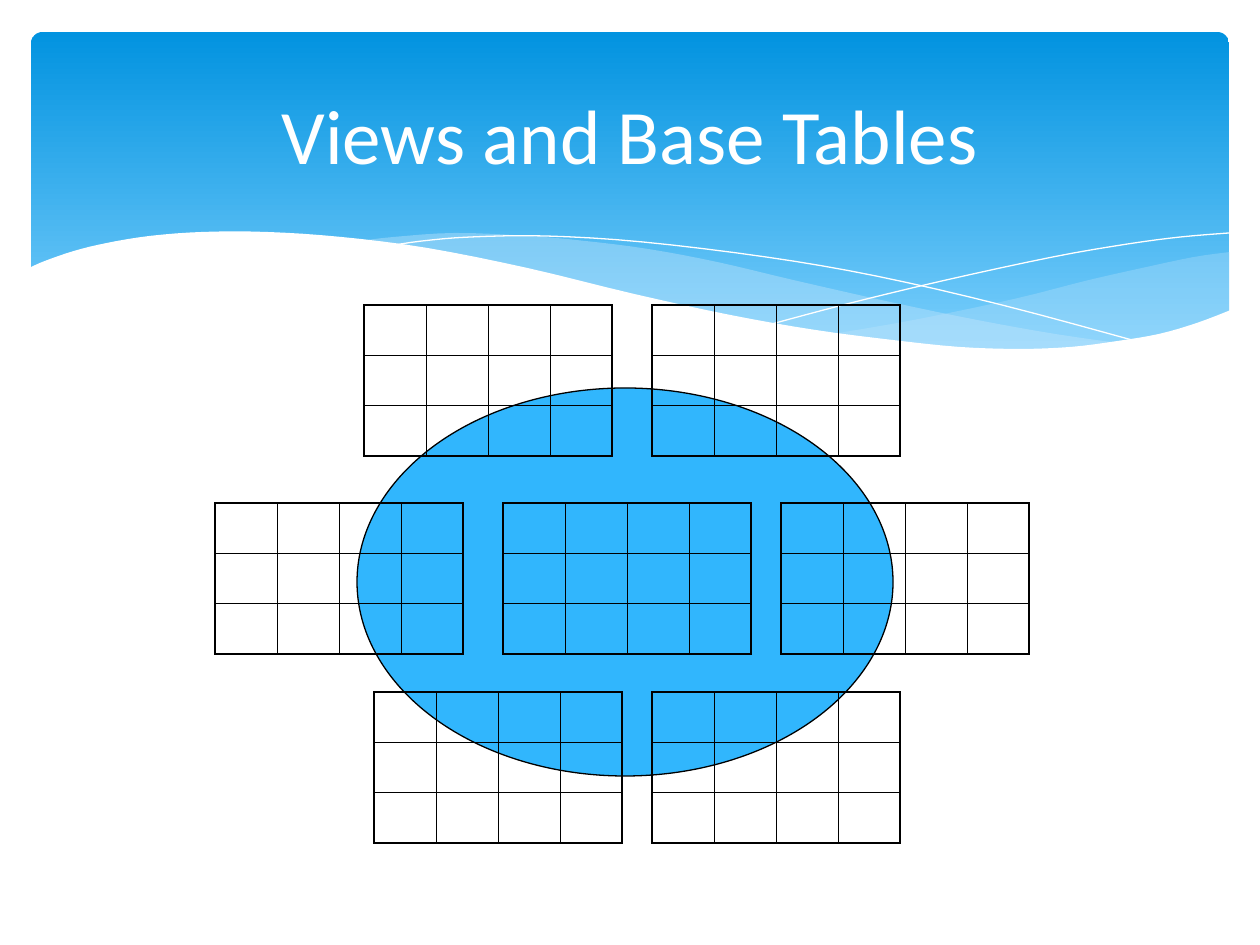
from lxml import etree
from pptx import Presentation
from pptx.dml.color import RGBColor
from pptx.enum.shapes import MSO_SHAPE
from pptx.enum.text import MSO_ANCHOR, PP_ALIGN
from pptx.oxml.ns import qn
from pptx.util import Pt

ROUND, OVAL = MSO_SHAPE.ROUNDED_RECTANGLE, MSO_SHAPE.OVAL
MIDDLE, CENTER = MSO_ANCHOR.MIDDLE, PP_ALIGN.CENTER
SCALE = 914400 / 126
THICK, THIN = 1.08, 0.45
ROWS, COLS = 3, 4
STEPS = 4

SWELL_TOP = [(1199, 220), (1163, 225), (1111, 236), (1054, 249), (983, 267),
             (888, 287), (802, 302)]
SWELL_LOW = [(802, 302), (840, 307), (891, 313), (953, 317), (1007, 317),
             (1068, 313), (1119, 304), (1165, 292), (1199, 279)]
TIDE_TOP = [(1094, 312), (1024, 302), (946, 288), (859, 270), (762, 248),
            (686, 230), (617, 217), (554, 209), (498, 204), (424, 201),
            (363, 205), (329, 209)]
TIDE_LOW = [(329, 209), (376, 215), (452, 229), (535, 248), (637, 270),
            (726, 289), (807, 303), (879, 313), (958, 318), (1025, 318),
            (1094, 312)]
FALL = [(358, 214), (391, 209), (440, 205), (515, 204), (612, 210),
        (735, 225), (845, 244), (971, 273), (1112, 311)]
RISE = [(741, 292), (816, 272), (911, 249), (1022, 225), (1097, 212),
        (1150, 205), (1198, 201)]
SHORE = [(1200, 278), (1166, 291), (1128, 302), (1087, 309), (1040, 315),
         (988, 317), (928, 315), (861, 308), (784, 298), (699, 283),
         (603, 262), (496, 236), (396, 216), (310, 205), (235, 200),
         (172, 200), (119, 204), (76, 211), (43, 219), (14, 229), (-2, 236)]
BASE = [(-2, 383), (1200, 383)]


def px(size):
    """Turn px into EMU."""
    return round(size * SCALE)


def hue(code):
    """Turn a hex string into a colour."""
    return RGBColor.from_string(code)


def put(item, **vals):
    """Set each named value on the item."""
    for name, val in vals.items():
        setattr(item, name, val)


def paint(shape, fill=None, alpha=100, line=None, width=0):
    """Give a shape its fill, opacity and outline."""
    shape.shadow.inherit = False
    if fill:
        shape.fill.solid()
        shape.fill.fore_color.rgb = hue(fill)
        if alpha < 100:
            tone = shape.fill._xPr.find(".//" + qn("a:srgbClr"))
            etree.SubElement(tone, qn("a:alpha"), val=str(alpha * 1000))
    else:
        shape.fill.background()
    if line:
        shape.line.color.rgb = hue(line)
        shape.line.width = Pt(width)
    else:
        shape.line.fill.background()


def curve(knots):
    """Return points of a smooth curve through the knots."""
    ends = [knots[0], *knots, knots[-1]]
    dots = [knots[0]]
    for a, b, c, d in zip(ends, ends[1:], ends[2:], ends[3:]):
        for step in range(1, STEPS + 1):
            t = step / STEPS
            dots.append(tuple(
                (2 * q + (r - p) * t + (2 * p - 5 * q + 4 * r - s) * t ** 2
                 + (3 * q - p - 3 * r + s) * t ** 3) / 2
                for p, q, r, s in zip(a, b, c, d)))
    return dots


def trace(slide, box, dots, close=True, **look):
    """Draw an outline whose points are relative to the box."""
    spots = [(px(box[0] + x), px(box[1] + y)) for x, y in dots]
    pen = slide.shapes.build_freeform(*spots[0])
    pen.add_line_segments(spots[1:], close=close)
    paint(pen.convert_to_shape(), **look)


def banner(slide, box):
    """Draw the blue banner with its waves."""
    back = slide.shapes.add_shape(ROUND, *map(px, box))
    paint(back)
    back.adjustments[0] = 0.034
    back.fill.gradient()
    back.fill.gradient_angle = 270
    for stop, code, spot in zip(back.fill.gradient_stops,
                                ("0293E0", "83D3FE"), (0, 1)):
        stop.color.rgb = hue(code)
        stop.position = spot
    for top, low, alpha in ((SWELL_TOP, SWELL_LOW, 29),
                            (TIDE_TOP, TIDE_LOW, 40)):
        trace(slide, box, curve(top) + curve(low)[1:],
              fill="C6E7FC", alpha=alpha)
    for knots in (FALL, RISE):
        trace(slide, box, curve(knots), close=False, line="FFFFFF")
    trace(slide, box, curve(SHORE) + BASE, fill="FFFFFF")


def title(slide, box, text):
    """Write the centred title."""
    frame = slide.shapes.add_textbox(*map(px, box)).text_frame
    put(frame, word_wrap=True, vertical_anchor=MIDDLE)
    para = frame.paragraphs[0]
    put(para, text=text, alignment=CENTER)
    put(para.font, name="Calibri", size=Pt(44))
    para.font.color.rgb = hue("FFFFFF")


def edge(cell, side, width):
    """Draw one black border of a cell."""
    props = cell._tc.get_or_add_tcPr()
    line = etree.SubElement(props, qn("a:ln" + side), w=str(Pt(width)))
    fill = etree.SubElement(line, qn("a:solidFill"))
    etree.SubElement(fill, qn("a:srgbClr"), val="000000")


def grid(slide, box):
    """Draw an empty table with a thick frame and thin inner lines."""
    table = slide.shapes.add_table(ROWS, COLS, *map(px, box)).table
    put(table, first_row=False, horz_banding=False)
    for col in table.columns:
        col.width = px(box[2] / COLS)
    for row in table.rows:
        row.height = px(box[3] / ROWS)
    for i in range(ROWS):
        for j in range(COLS):
            cell = table.cell(i, j)
            put(cell, margin_left=0, margin_right=0,
                margin_top=0, margin_bottom=0)
            for side, outer in (("L", j == 0), ("R", j == COLS - 1),
                                ("T", i == 0), ("B", i == ROWS - 1)):
                edge(cell, side, THICK if outer else THIN)
            cell.fill.background()


def views(slide, box):
    """Draw the ellipse and the tables that overlap it."""
    left, top = box[:2]
    disc = slide.shapes.add_shape(
        OVAL, *map(px, (left + 142, top + 83, 536, 388)))
    paint(disc, fill="31B6FD", line="000000", width=0.75)
    for y, places in ((198, (0, 288)), (387, (159, 437)),
                      (198, (566,)), (0, (149, 437))):
        for x in places:
            grid(slide, (left + x, top + y, 248, 151))


def main():
    """Build and save the slide."""
    deck = Presentation()
    put(deck, slide_width=px(1260), slide_height=px(945))
    slide = deck.slides.add_slide(deck.slide_layouts[6])
    banner(slide, (31, 32, 1198, 340))
    views(slide, (215, 305, 814, 538))
    title(slide, (63, 47, 1134, 173), "Views and Base Tables")
    deck.save("out.pptx")


if __name__ == "__main__":
    main()
